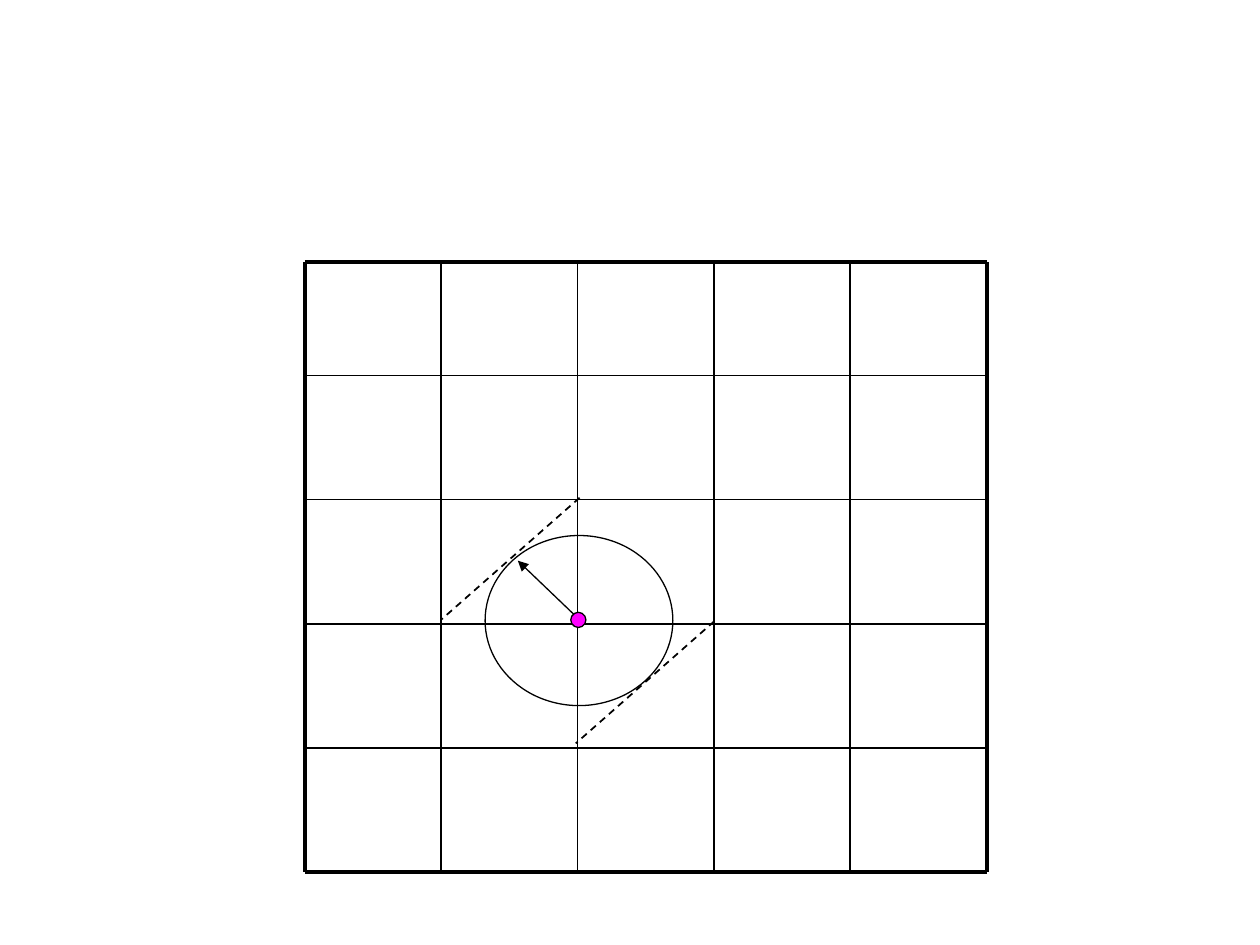
import pptx
import pptx.dml.color
import pptx.enum.dml
import pptx.enum.shapes
import pptx.oxml.ns
import pptx.util
from lxml import etree

Inches = pptx.util.Inches
BLACK = pptx.dml.color.RGBColor(0x00, 0x00, 0x00)
MAGENTA = pptx.dml.color.RGBColor(0xFF, 0x00, 0xFF)

# Grid geometry in inches
LEFT, RIGHT, COLUMNS = 2.42, 7.83, 5
TOP, BOTTOM = 2.08, 6.92
FIRST_ROW_BOTTOM, LOWER_ROWS = 2.98, 4


class Diagram:
    """Holds the line style and the current page."""

    thin, medium, thick = 0.75, 1, 2.25

    def __init__(self, page):
        self.page = page

    def style_line(self, line, width, dash=None):
        line.color.rgb = BLACK
        values = {"width": pptx.util.Pt(width), "dash_style": dash}
        for name, value in values.items():
            setattr(line, name, value)

    def line(self, start, end, width, dash=None, arrow=False, shapes=None):
        shapes = self.page.shapes if shapes is None else shapes
        connector = shapes.add_connector(
            pptx.enum.shapes.MSO_CONNECTOR.STRAIGHT,
            *(Inches(value) for value in (*start, *end)))
        self.style_line(connector.line, width, dash)
        properties = connector._element.spPr
        if arrow:
            etree.SubElement(connector.line._get_or_add_ln(),
                             pptx.oxml.ns.qn("a:tailEnd"), type="triangle")
        etree.SubElement(properties, pptx.oxml.ns.qn("a:effectLst"))

    def ellipse(self, left, top, width, height, fill=None):
        shape = self.page.shapes.add_shape(
            pptx.enum.shapes.MSO_SHAPE.OVAL,
            *(Inches(value) for value in (left, top, width, height)))
        shape.shadow.inherit = False
        if fill is None:
            shape.fill.background()
        else:
            shape.fill.solid()
            shape.fill.fore_color.rgb = fill
        self.style_line(shape.line, self.thin)

    def grid(self, xs, ys):
        group = self.page.shapes.add_group_shape()
        rows = [((xs[0], y), (xs[-1], y), y in (ys[0], ys[-1])) for y in ys]
        columns = [((x, ys[0]), (x, ys[-1]), x in (xs[0], xs[-1])) for x in xs]
        for start, end, is_border in rows + columns:
            width = self.thick if is_border else self.medium
            self.line(start, end, width, shapes=group.shapes)


def main():
    deck = pptx.Presentation()
    deck.slide_width, deck.slide_height = Inches(10), Inches(7.5)
    page = deck.slides.add_slide(deck.slide_layouts[6])
    diagram = Diagram(page)

    # Grid with a shorter first row
    column_width = (RIGHT - LEFT) / COLUMNS
    row_height = (BOTTOM - FIRST_ROW_BOTTOM) / LOWER_ROWS
    xs = [LEFT + column_width * i for i in range(COLUMNS + 1)]
    ys = [TOP] + [FIRST_ROW_BOTTOM + row_height * i
                  for i in range(LOWER_ROWS + 1)]
    diagram.grid(xs, ys)

    # Circle, its radius and the centre point
    diagram.ellipse(3.85, 4.25, 1.49, 1.35)
    diagram.line((4.59, 4.91), (4.11, 4.45), diagram.thin, arrow=True)
    diagram.ellipse(4.53, 4.86, 0.12, 0.12, fill=MAGENTA)

    # Dashed tangents
    dash = pptx.enum.dml.MSO_LINE.DASH
    for start, end in (((4.6, 3.95), (3.5, 4.92)),
                       ((5.67, 4.93), (4.57, 5.9))):
        diagram.line(start, end, diagram.medium, dash)

    deck.save("out.pptx")


if __name__ == "__main__":
    main()
